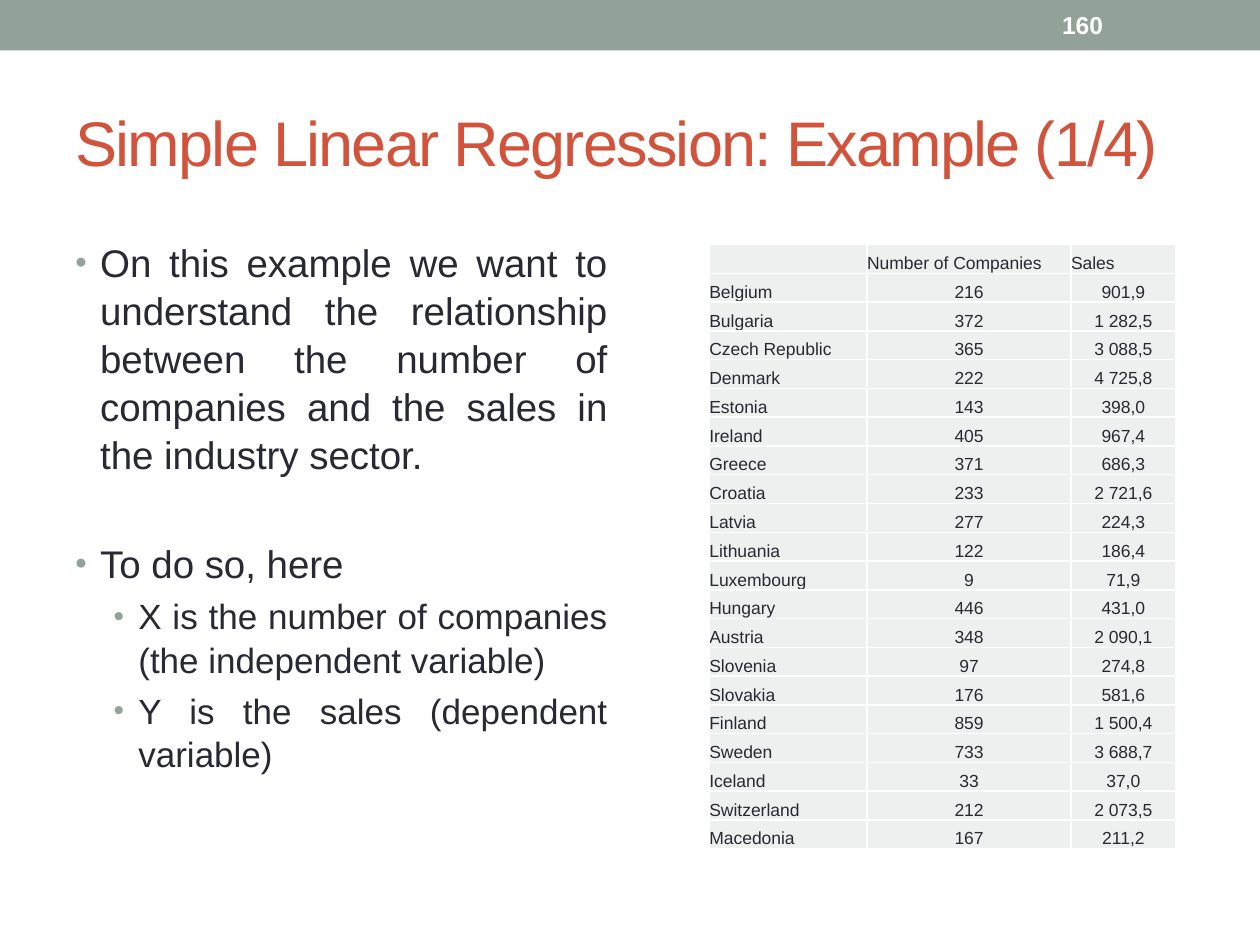
from dataclasses import dataclass
from typing import Any, NamedTuple

from pptx import Presentation
from pptx import util as u
from pptx.dml.color import RGBColor
from pptx.enum import shapes, text
from pptx.oxml.xmlchemy import OxmlElement

LEFT = text.PP_ALIGN.LEFT
CENTER = text.PP_ALIGN.CENTER
JUSTIFY = text.PP_ALIGN.JUSTIFY
MIDDLE = text.MSO_ANCHOR.MIDDLE


@dataclass(frozen=True)
class Theme:
    font: str = "Arial"
    sage: str = "93A299"
    rust: str = "D2533C"
    ink: str = "292934"
    white: str = "FFFFFF"
    cell: str = "EEF0EF"
    title_size: int = 36
    point_size: int = 22
    subpoint_size: int = 20
    number_size: int = 14
    table_size: int = 10


class Box(NamedTuple):
    left: float
    top: float
    width: float
    height: float

    def lengths(self) -> list[u.Cm]:
        return [u.Cm(side) for side in self]


class Point(NamedTuple):
    words: str
    size: int
    indent: float
    before: float


class Country(NamedTuple):
    name: str
    companies: str
    sales: str


THEME = Theme()
HANGING = 0.5

POINTS = [
    Point("On this example we want to understand the relationship between "
          "the number of companies and the sales in the industry sector.",
          THEME.point_size, 0.5, 0),
    Point("To do so, here", THEME.point_size, 0.5, 35),
    Point("X is the number of companies (the independent variable)",
          THEME.subpoint_size, 1.27, 4),
    Point("Y is the sales (dependent variable)", THEME.subpoint_size, 1.27, 4),
]

HEADER = Country("", "Number of Companies", "Sales")
COUNTRIES = [
    Country("Belgium", "216", "901,9"),
    Country("Bulgaria", "372", "1 282,5"),
    Country("Czech Republic", "365", "3 088,5"),
    Country("Denmark", "222", "4 725,8"),
    Country("Estonia", "143", "398,0"),
    Country("Ireland", "405", "967,4"),
    Country("Greece", "371", "686,3"),
    Country("Croatia", "233", "2 721,6"),
    Country("Latvia", "277", "224,3"),
    Country("Lithuania", "122", "186,4"),
    Country("Luxembourg", "9", "71,9"),
    Country("Hungary", "446", "431,0"),
    Country("Austria", "348", "2 090,1"),
    Country("Slovenia", "97", "274,8"),
    Country("Slovakia", "176", "581,6"),
    Country("Finland", "859", "1 500,4"),
    Country("Sweden", "733", "3 688,7"),
    Country("Iceland", "33", "37,0"),
    Country("Switzerland", "212", "2 073,5"),
    Country("Macedonia", "167", "211,2"),
]


def add_element(parent: Any, tag: str, **attributes: Any) -> Any:
    element = OxmlElement(tag)
    for key, value in attributes.items():
        element.set(key, str(value))
    parent.append(element)
    return element


def write(paragraph: Any, words: str, *, size: int, color: str = THEME.ink,
          bold: bool = False, align: Any = LEFT, tracking: float = 0) -> None:
    paragraph.alignment = align
    if not words:
        add_element(paragraph._p, "a:endParaRPr", sz=size * 100)
        return
    run = paragraph.add_run()
    run.text = words
    run.font.name = THEME.font
    run.font.size = u.Pt(size)
    run.font.bold = bold
    run.font.color.rgb = RGBColor.from_string(color)
    if tracking:
        run.font._element.set("spc", str(round(tracking * 100)))


def add_frame(slide: Any, box: Box, anchor: Any = text.MSO_ANCHOR.TOP) -> Any:
    frame = slide.shapes.add_textbox(*box.lengths()).text_frame
    frame.word_wrap = True
    frame.vertical_anchor = anchor
    return frame


def add_bullet(paragraph: Any, indent: float) -> None:
    properties = paragraph._p.get_or_add_pPr()
    properties.set("marL", str(u.Cm(indent)))
    properties.set("indent", str(u.Cm(-HANGING)))
    color = add_element(properties, "a:buClr")
    add_element(color, "a:srgbClr", val=THEME.sage)
    add_element(properties, "a:buSzPct", val=85000)
    add_element(properties, "a:buFont", typeface=THEME.font)
    add_element(properties, "a:buChar", char="•")


def add_banner(slide: Any, box: Box) -> None:
    banner = slide.shapes.add_shape(shapes.MSO_SHAPE.RECTANGLE, *box.lengths())
    banner.shadow.inherit = False
    banner.fill.solid()
    banner.fill.fore_color.rgb = RGBColor.from_string(THEME.sage)
    banner.line.fill.background()


def add_points(slide: Any, box: Box, points: list[Point]) -> None:
    frame = add_frame(slide, box)
    for index, point in enumerate(points):
        paragraph = frame.add_paragraph() if index else frame.paragraphs[0]
        add_bullet(paragraph, point.indent)
        paragraph.line_spacing = 1.045
        paragraph.space_before = u.Pt(point.before)
        write(paragraph, point.words, size=point.size, align=JUSTIFY)


def style_cell(cell: Any) -> None:
    properties = cell._tc.get_or_add_tcPr()
    for side in ("L", "R", "T", "B"):
        border = add_element(properties, f"a:ln{side}", w=u.Pt(1))
        fill = add_element(border, "a:solidFill")
        add_element(fill, "a:srgbClr", val=THEME.white)
    cell.fill.solid()
    cell.fill.fore_color.rgb = RGBColor.from_string(THEME.cell)
    cell.margin_left = cell.margin_right = 0
    cell.margin_top = cell.margin_bottom = 0
    cell.vertical_anchor = text.MSO_ANCHOR.BOTTOM


def add_country_table(slide: Any, box: Box, widths: list[float]) -> None:
    records = [HEADER, *COUNTRIES]
    table = slide.shapes.add_table(
        len(records), len(widths), *box.lengths()).table
    table.first_row = table.horz_banding = False
    for column, width in zip(table.columns, widths):
        column.width = u.Cm(width)
    for row, record in enumerate(records):
        table.rows[row].height = u.Cm(box.height / len(records))
        for column, words in enumerate(record):
            cell = table.cell(row, column)
            style_cell(cell)
            write(cell.text_frame.paragraphs[0], words, size=THEME.table_size,
                  align=CENTER if row and column else LEFT)


def main() -> None:
    deck = Presentation()
    deck.slide_width, deck.slide_height = u.Cm(25.4), u.Cm(19.05)
    slide = deck.slides.add_slide(deck.slide_layouts[6])
    add_banner(slide, Box(0, 0, 25.4, 1.02))
    title = add_frame(slide, Box(1.27, 1.47, 22.86, 2.74), MIDDLE)
    write(title.paragraphs[0], "Simple Linear Regression: Example (1/4)",
          size=THEME.title_size, color=THEME.rust, tracking=-1)
    add_points(slide, Box(1.27, 4.65, 11.23, 13.11), POINTS)
    number = add_frame(slide, Box(21.16, 0.05, 2.97, 0.91), MIDDLE)
    write(number.paragraphs[0], "160", size=THEME.number_size,
          color=THEME.white, bold=True)
    add_country_table(slide, Box(14.3, 4.93, 9.4, 12.19), [3.18, 4.11, 2.11])
    deck.save("out.pptx")


if __name__ == "__main__":
    main()
